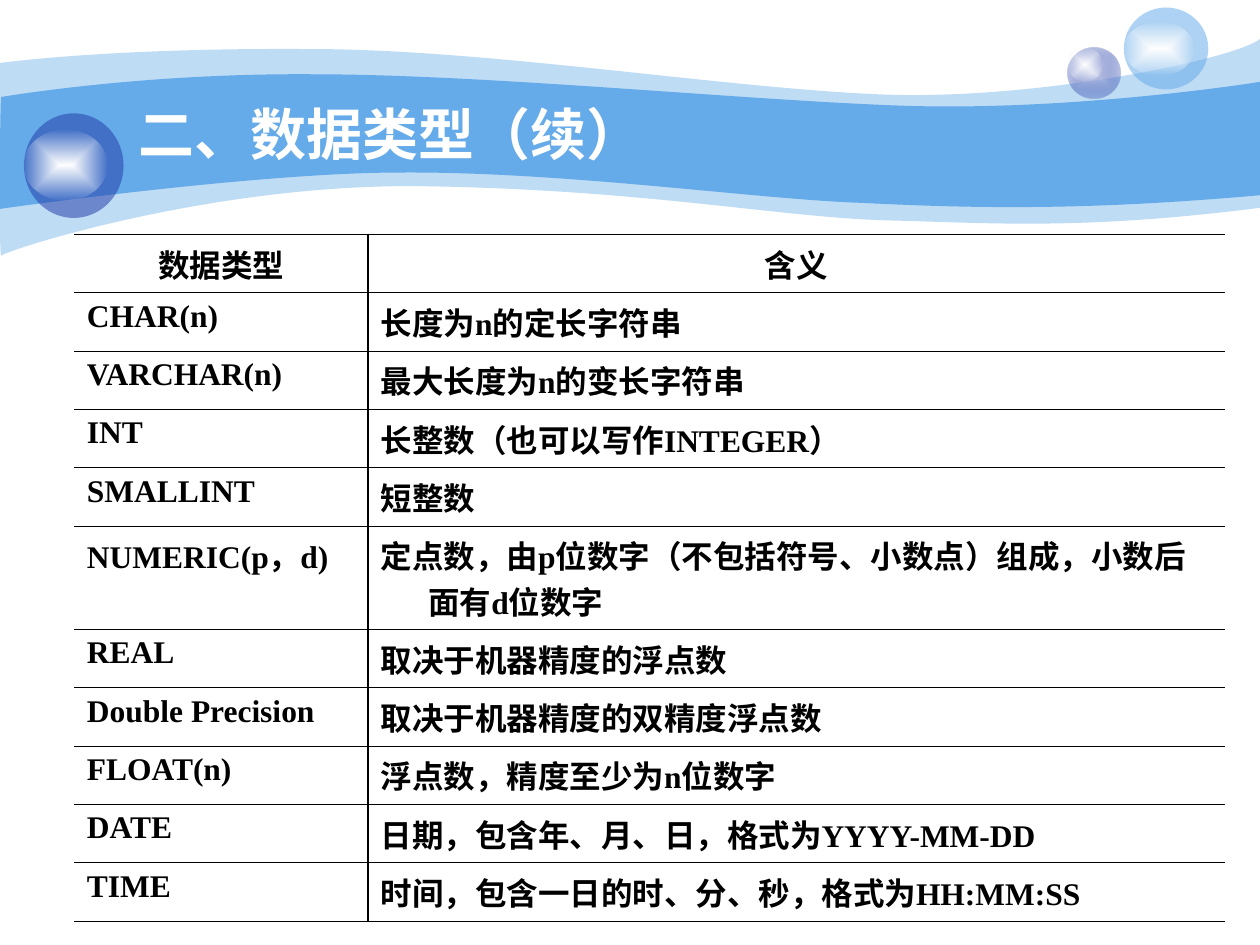
from lxml import etree
from pptx import Presentation
from pptx import util as u
from pptx.dml import color
from pptx.enum import shapes, text
from pptx.oxml import ns

Inches = u.Inches
COLORS = {"sky": "65AAE9", "navy": "233DA9", "lilac": "C7CEE9",
          "white": "FFFFFF", "black": "000000"}
TITLE_FORMAT = {"name": "Arial", "size": u.Pt(32), "bold": True}
CELL_FORMAT = {"name": "Times New Roman", "size": u.Pt(18), "bold": True}

OUTER_WAVE = ((0, 0.5), [
    (0.24, 0.47, 1.07, 0.38, 2.47, 0.39), (3.86, 0.39, 5.75, 0.7, 6.99, 0.75),
    (8.22, 0.8, 9.8, 0.47, 10, 0.31), (10, 1.65),
    (8.58, 1.83, 7.87, 1.77, 7.05, 1.75), (6.22, 1.73, 5.15, 1.51, 3.43, 1.48),
    (1.72, 1.44, 0.04, 1.99, 0.01, 2.03), (-0.01, 2.08, 0, 0.75, 0, 0.5)])
INNER_WAVE = ((0.01, 0.77), [
    (0.02, 0.77, 1.1, 0.58, 2.48, 0.59), (3.86, 0.59, 5.95, 0.8, 7.18, 0.84),
    (8.41, 0.88, 9.76, 0.69, 10, 0.65), (10, 1.55),
    (8.53, 1.68, 7.65, 1.65, 6.82, 1.61), (5.99, 1.58, 4.47, 1.36, 3.17, 1.37),
    (2.03, 1.37, -0.02, 1.66, -0.01, 1.66), (0, 1.66, 0, 0.77, 0.01, 0.77)])

DATA_TYPES = [
    ("数据类型", "含义"),
    ("CHAR(n)", "长度为n的定长字符串"),
    ("VARCHAR(n)", "最大长度为n的变长字符串"),
    ("INT", "长整数（也可以写作INTEGER）"),
    ("SMALLINT", "短整数"),
    ("NUMERIC(p，d)", "定点数，由p位数字（不包括符号、小数点）组成，小数后面有d位数字"),
    ("REAL", "取决于机器精度的浮点数"),
    ("Double Precision", "取决于机器精度的双精度浮点数"),
    ("FLOAT(n)", "浮点数，精度至少为n位数字"),
    ("DATE", "日期，包含年、月、日，格式为YYYY-MM-DD"),
    ("TIME", "时间，包含一日的时、分、秒，格式为HH:MM:SS"),
]


def rgb(name):
    """Return the named palette colour."""
    return color.RGBColor.from_string(COLORS[name])


def format_font(font, values, color_name):
    """Apply a dict of font values and a colour."""
    for key, value in values.items():
        setattr(font, key, value)
    font.color.rgb = rgb(color_name)


def add_color(parent, name, alpha=100):
    """Append a colour with an opacity in percent to an XML element."""
    tint = etree.SubElement(parent, ns.qn("a:srgbClr"), val=COLORS[name])
    if alpha < 100:
        etree.SubElement(tint, ns.qn("a:alpha"), val=str(alpha * 1000))


def paint(shape, name, alpha, center=None):
    """Fill a shape flat, or with a glow that starts from a centre colour."""
    shape.shadow.inherit = False
    shape.line.fill.background()
    shape.fill.solid()
    shape.fill.fore_color.rgb = rgb(name)
    solid = shape._element.spPr.find(ns.qn("a:solidFill"))
    if center is None:
        solid.clear()
        add_color(solid, name, alpha)
        return
    gradient = etree.Element(ns.qn("a:gradFill"), rotWithShape="1")
    stops = etree.SubElement(gradient, ns.qn("a:gsLst"))
    for position, stop_color, stop_alpha in ((0, center, 100), (100000, name, alpha)):
        stop = etree.SubElement(stops, ns.qn("a:gs"), pos=str(position))
        add_color(stop, stop_color, stop_alpha)
    spread = etree.SubElement(gradient, ns.qn("a:path"), path="rect")
    etree.SubElement(spread, ns.qn("a:fillToRect"),
                     dict.fromkeys("ltrb", "50000"))
    solid.getparent().replace(solid, gradient)


def bend(wave, segments):
    """Turn each run of three straight lines that stands for a curve into one."""
    lines = iter(list(wave._element.iter(ns.qn("a:lnTo"))))
    for segment in segments:
        first = next(lines)
        if len(segment) == 2:
            continue
        curve = etree.Element(ns.qn("a:cubicBezTo"))
        first.addprevious(curve)
        for line in (first, next(lines), next(lines)):
            curve.append(line[0])
            line.getparent().remove(line)


def add_wave(slide, box, outline, alpha):
    """Draw one wave of the banner from the corner of the box."""
    left, top = box[:2]
    start, segments = outline
    pairs = [start] + [segment[i:i + 2] for segment in segments
                       for i in range(0, len(segment), 2)]
    points = [(Inches(left + x), Inches(top + y)) for x, y in pairs]
    builder = slide.shapes.build_freeform(*points[0])
    builder.add_line_segments(points[1:], close=True)
    wave = builder.convert_to_shape()
    bend(wave, segments)
    paint(wave, "sky", alpha)


def add_sphere(slide, box, body, glow):
    """Draw a ball that fills the box, with a white glow inside it."""
    left, top, width, height = box
    glow_top, glow_width, glow_height = glow
    ball = slide.shapes.add_group_shape()
    parts = (((left, top, width, height), body),
             ((left, top + glow_top, glow_width, glow_height), ("white", 0, "white")))
    for place, fill in parts:
        oval = ball.shapes.add_shape(shapes.MSO_SHAPE.OVAL, *map(Inches, place))
        paint(oval, *fill)


def add_banner(slide, box):
    """Draw the waves and the three balls of the banner."""
    left, top = box[:2]
    add_wave(slide, box, OUTER_WAVE, 41)
    add_wave(slide, box, INNER_WAVE, 100)
    spheres = (
        ((8.47, 0.38, 0.42, 0.4), ("navy", 31, "lilac"), (0, 0.28, 0.27)),
        ((8.92, 0.06, 0.67, 0.65), ("sky", 53), (0.11, 0.56, 0.43)),
        ((0.19, 0.9, 0.79, 0.83), ("navy", 53), (0.13, 0.66, 0.56)),
    )
    for (x, y, width, height), body, glow in spheres:
        add_sphere(slide, (left + x, top + y, width, height), body, glow)


def add_title(slide, box, wording):
    """Write the slide title in the box."""
    title = slide.shapes.add_textbox(*map(Inches, box)).text_frame
    title.word_wrap = True
    title.vertical_anchor = text.MSO_ANCHOR.MIDDLE
    title.text = wording
    format_font(title.paragraphs[0].runs[0].font, TITLE_FORMAT, "white")


def set_borders(cell, widths):
    """Set the cell's borders from a dict of side to width in points."""
    properties = cell._tc.get_or_add_tcPr()
    for index, side in enumerate("LRTB"):
        line = etree.Element(ns.qn(f"a:ln{side}"))
        if side in widths:
            line.set("w", str(u.Pt(widths[side])))
            add_color(etree.SubElement(line, ns.qn("a:solidFill")), "black")
        else:
            etree.SubElement(line, ns.qn("a:noFill"))
        properties.insert(index, line)


def fill_cell(cell, wording, centered):
    """Write one cell with a hanging indent and no fill."""
    cell.fill.background()
    cell.text = wording
    paragraph = cell.text_frame.paragraphs[0]
    paragraph.alignment = text.PP_ALIGN.CENTER if centered else text.PP_ALIGN.LEFT
    indents = paragraph._p.get_or_add_pPr()
    indents.set("marL", str(Inches(0.38)))
    indents.set("indent", str(Inches(-0.38)))
    format_font(paragraph.runs[0].font, CELL_FORMAT, "black")


def add_type_table(slide, box, rows):
    """Build the table of data types and their meanings."""
    frame = slide.shapes.add_table(len(rows), 2, *map(Inches, box))
    table = frame.table
    table.first_row = table.horz_banding = False
    type_width, tall_row = 2.33, 0.82
    plain_row = (box[3] - tall_row) / (len(rows) - 1)
    for column, width in zip(table.columns, (type_width, box[2] - type_width)):
        column.width = Inches(width)
    for index, row in enumerate(rows):
        is_tall = row[0].startswith("NUMERIC")
        table.rows[index].height = Inches(tall_row if is_tall else plain_row)
        for column, (wording, inner_side) in enumerate(zip(row, "RL")):
            cell = table.cell(index, column)
            fill_cell(cell, wording, centered=index == 0)
            set_borders(cell, {"T": 0.45, "B": 0.45, inner_side: 1.08})


def main():
    """Build the slide and save it."""
    deck = Presentation()
    deck.slide_width, deck.slide_height = Inches(10), Inches(7.5)
    slide = deck.slides.add_slide(deck.slide_layouts[6])
    add_banner(slide, (0, 0, 10, 2.08))
    add_title(slide, (1, 0.75, 8.08, 0.62), "二、数据类型（续）")
    add_type_table(slide, (0.59, 1.86, 9.13, 5.45), DATA_TYPES)
    deck.save("out.pptx")


if __name__ == "__main__":
    main()
